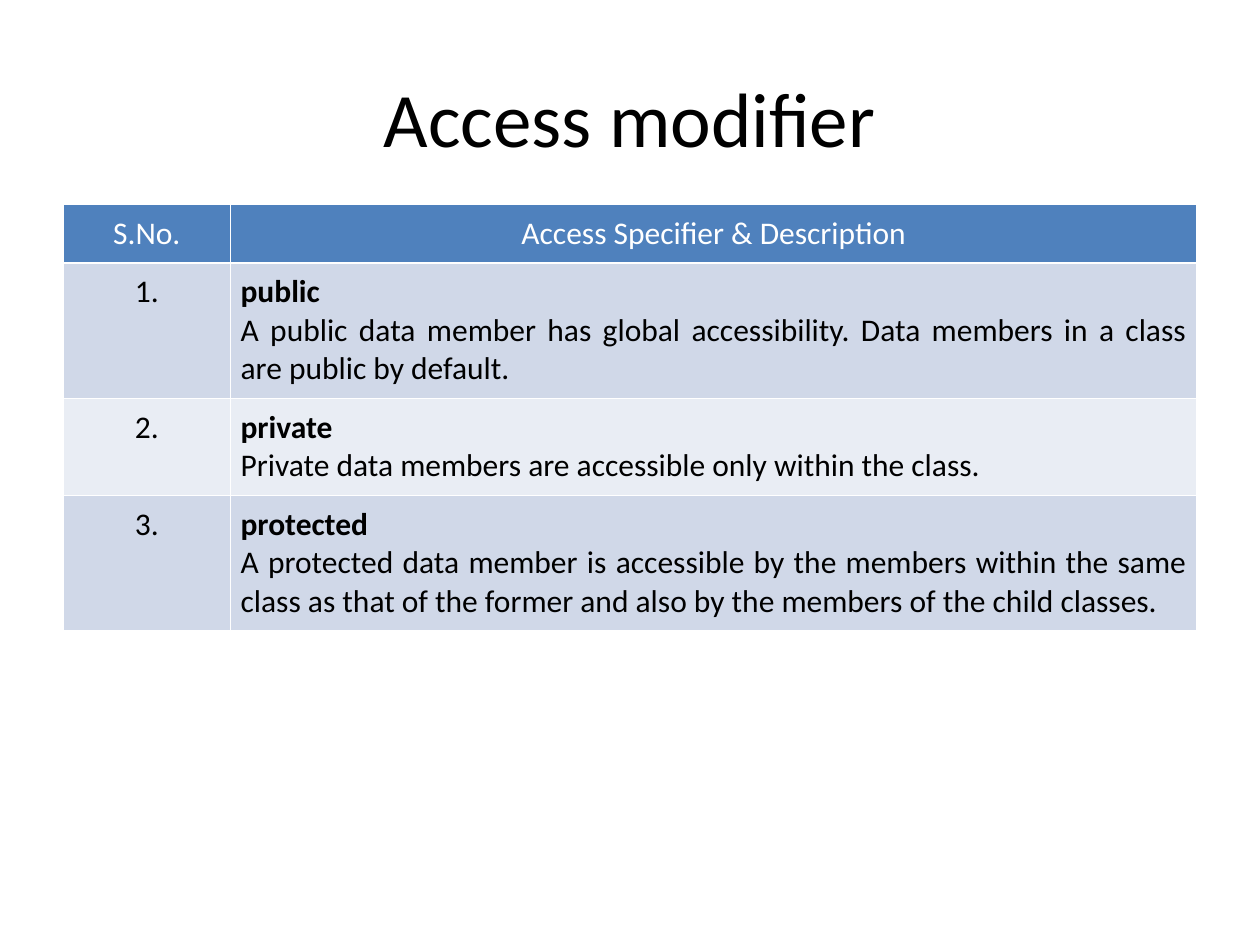
"""Build a slide with a table of access modifiers."""
from pptx import Presentation
from pptx import util as u
from pptx.dml.color import RGBColor
from pptx.enum import text

BLACK = RGBColor(0x00, 0x00, 0x00)
WHITE = RGBColor(0xFF, 0xFF, 0xFF)
HEADER_BLUE = RGBColor(0x4F, 0x81, 0xBD)
BAND_DARK = RGBColor(0xD0, 0xD8, 0xE8)
BAND_LIGHT = RGBColor(0xE9, 0xED, 0xF4)
CENTER = text.PP_ALIGN.CENTER
JUSTIFY = text.PP_ALIGN.JUSTIFY

HEADINGS = ["S.No.", "Access Specifier & Description"]
MODIFIERS = [
    ("public", "A public data member has global accessibility. "
     "Data members in a class are public by default."),
    ("private", "Private data members are accessible only within the class."),
    ("protected", "A protected data member is accessible by the members within "
     "the same class as that of the former and also by the members of the "
     "child classes."),
]
COLUMN_WIDTHS = [1.33, 7.67]
ROW_HEIGHTS = [0.46, 1.07, 0.77, 1.07]


def write(frame, lines, align, size, color, bold_first=False):
    frame.text = "\n".join(lines)
    for index, para in enumerate(frame.paragraphs):
        para.alignment = align
        span = para.runs[0]
        span.font.color.rgb = color
        look = {"name": "Calibri", "size": u.Pt(size),
                "bold": bold_first and index == 0}
        for name, value in look.items():
            setattr(span.font, name, value)


def fill_cell(cell, lines, align, color, background, bold_first=False):
    cell.fill.solid()
    cell.fill.fore_color.rgb = background
    for side in ("left", "top", "right", "bottom"):
        setattr(cell, f"margin_{side}", u.Inches(0.08))
    write(cell.text_frame, lines, align, 18, color, bold_first)


deck = Presentation()
deck.slide_width, deck.slide_height = u.Inches(10), u.Inches(7.5)
page = deck.slides.add_slide(deck.slide_layouts[5])

title = page.shapes.title
place = {"left": 0.5, "top": 0.3, "width": 9, "height": 1.25}
for name, value in place.items():
    setattr(title, name, u.Inches(value))
title.text_frame.vertical_anchor = text.MSO_ANCHOR.MIDDLE
write(title.text_frame, ["Access modifier"], CENTER, 44, BLACK)

table = page.shapes.add_table(
    len(ROW_HEIGHTS), len(COLUMN_WIDTHS), u.Inches(0.5), u.Inches(1.62),
    u.Inches(sum(COLUMN_WIDTHS)), u.Inches(sum(ROW_HEIGHTS))).table
for column, width in zip(table.columns, COLUMN_WIDTHS):
    column.width = u.Inches(width)
for row, height in zip(table.rows, ROW_HEIGHTS):
    row.height = u.Inches(height)

for column, heading in enumerate(HEADINGS):
    fill_cell(table.cell(0, column), [heading], CENTER, WHITE, HEADER_BLUE)
for number, modifier in enumerate(MODIFIERS, 1):
    band = BAND_DARK if number % 2 else BAND_LIGHT
    fill_cell(table.cell(number, 0), [f"{number}."], CENTER, BLACK, band)
    fill_cell(table.cell(number, 1), modifier, JUSTIFY, BLACK, band, True)

deck.save("out.pptx")
